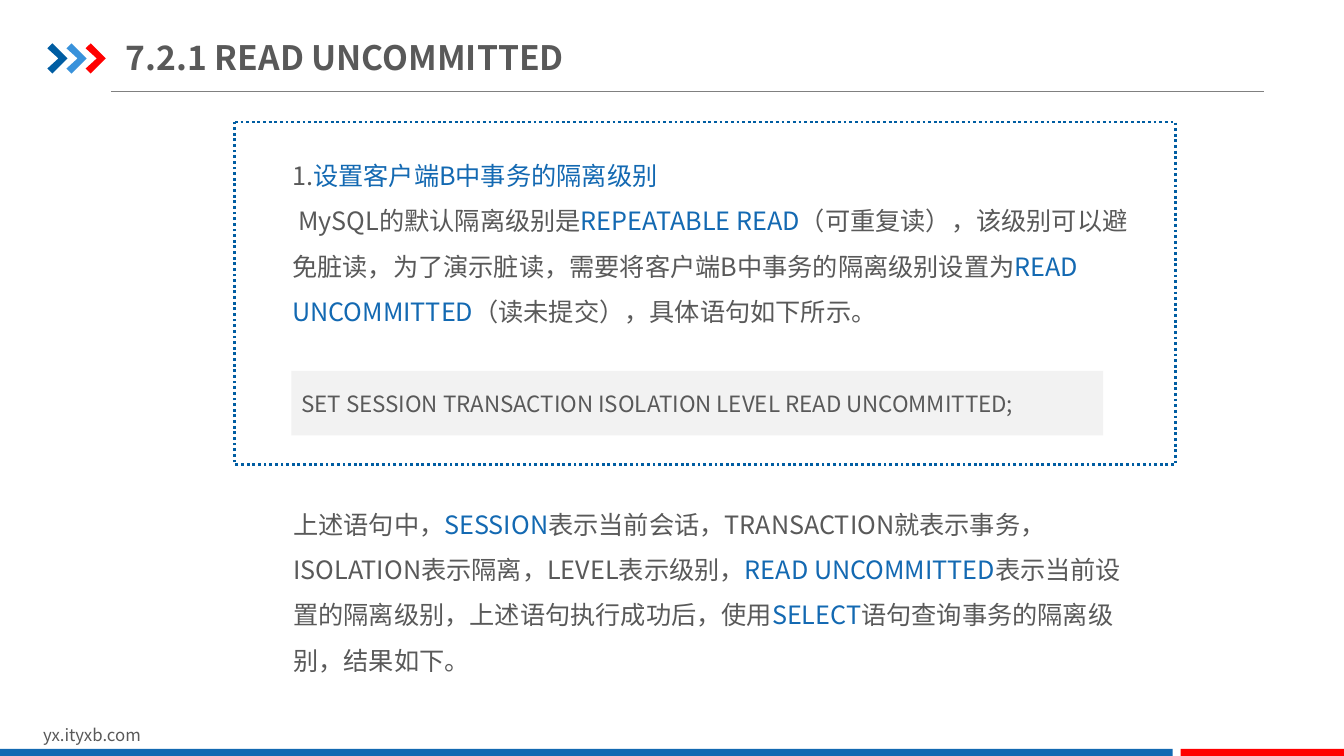
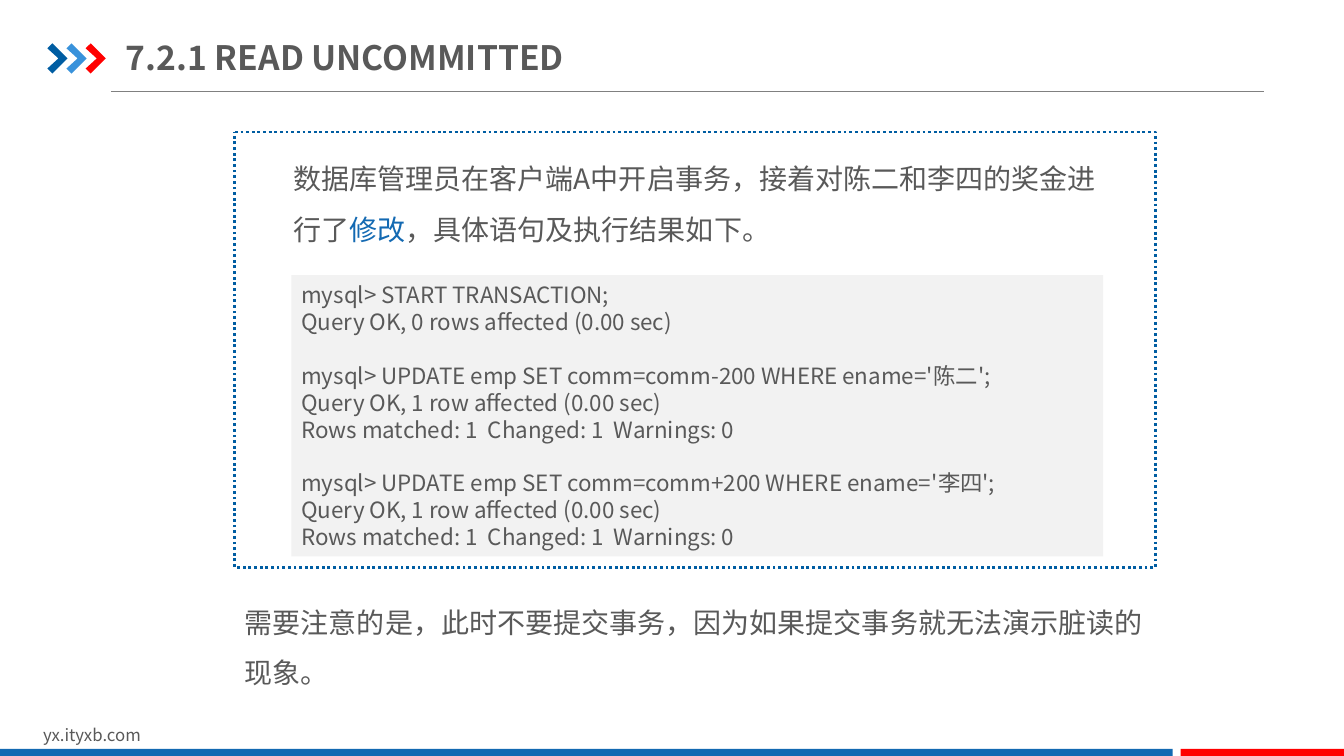
from dataclasses import dataclass

from lxml.etree import SubElement
from pptx import Presentation
from pptx.dml.color import RGBColor
from pptx.enum.dml import MSO_LINE
from pptx.enum.shapes import MSO_CONNECTOR, MSO_SHAPE
from pptx.enum.text import MSO_ANCHOR, PP_ALIGN
from pptx.oxml.ns import qn
from pptx.util import Inches, Pt


@dataclass(frozen=True)
class Theme:
    """Colours, font and type sizes shared by the slides."""
    font: str = "Noto Sans CJK SC"
    text: str = "595959"
    blue: str = "1369B2"
    navy: str = "005DA2"
    sky: str = "3992DB"
    red: str = "FF0000"
    rule: str = "808080"
    code_fill: str = "F2F2F2"
    white: str = "FFFFFF"
    title_size: int = 24
    large_size: int = 20
    body_size: int = 18
    code_size: int = 16
    footer_size: int = 12


THEME = Theme()
TITLE = "7.2.1 READ UNCOMMITTED"
CHEVRON = [(0, 0.05), (0.05, 0), (0.2, 0.15), (0.05, 0.3), (0, 0.25), (0.11, 0.15)]


def rgb(color):
    """Turn a hex string into a colour."""
    return RGBColor.from_string(color)


def inches(box):
    """Convert a box of numbers to lengths."""
    return [Inches(v) for v in box]


def style(p, size, bold=False):
    """Set the font of a whole paragraph, East Asian text included."""
    p.alignment = PP_ALIGN.LEFT
    font = p.font
    font.name = THEME.font
    font.size = Pt(size)
    font.bold = bold
    font.color.rgb = rgb(THEME.text)
    def_rpr = p._p.pPr.find(qn("a:defRPr"))
    SubElement(def_rpr, qn("a:ea")).set("typeface", THEME.font)


def write(tf, lines, size, bold=False, spacing=None):
    """Fill a frame with paragraphs; parts between bars are highlighted."""
    tf.word_wrap = True
    for i, line in enumerate(lines):
        p = tf.paragraphs[0] if i == 0 else tf.add_paragraph()
        for j, part in enumerate(line.split("|")):
            if part:
                r = p.add_run()
                r.text = part
                if j % 2:
                    r.font.color.rgb = rgb(THEME.blue)
        style(p, size, bold)
        if spacing:
            p.line_spacing = spacing


def add_text(slide, box, lines, size, bold=False, spacing=None):
    """Add a text box and return its frame."""
    tf = slide.shapes.add_textbox(*inches(box)).text_frame
    write(tf, lines, size, bold, spacing)
    return tf


def paint(sp, fill):
    """Give a shape a plain fill with no line or shadow."""
    sp.shadow.inherit = False
    sp.fill.solid()
    sp.fill.fore_color.rgb = rgb(fill)
    sp.line.fill.background()
    return sp


def add_rect(slide, box, fill, kind=MSO_SHAPE.RECTANGLE):
    """Add a plain filled shape."""
    return paint(slide.shapes.add_shape(kind, *inches(box)), fill)


def add_chevron(slide, left, top, fill):
    """Draw one arrow of the title mark."""
    points = [(Inches(left + x), Inches(top + y)) for x, y in CHEVRON]
    builder = slide.shapes.build_freeform(*points[0], scale=1.0)
    builder.add_line_segments(points[1:], close=True)
    paint(builder.convert_to_shape(), fill)


def add_header(slide, title):
    """Draw the title, its arrows and the rule below."""
    rule = slide.shapes.add_connector(
        MSO_CONNECTOR.STRAIGHT, *inches((1.1, 0.91, 12.54, 0.91)))
    rule.line.color.rgb = rgb(THEME.rule)
    rule.line.width = Pt(0.75)
    SubElement(rule._element.spPr, qn("a:effectLst"))
    for i, color in enumerate((THEME.navy, THEME.sky, THEME.red)):
        add_chevron(slide, 0.47 + i * 0.19, 0.43, color)
    tf = add_text(slide, (1.25, 0.29, 4.8, 0.55), [title], THEME.title_size, bold=True)
    tf.vertical_anchor = MSO_ANCHOR.MIDDLE
    tf.margin_left = tf.margin_right = 0


def add_footer(slide):
    """Draw the site address and the two-colour band."""
    add_text(slide, (0.33, 7.14, 3.18, 0.3), ["yx.ityxb.com"], THEME.footer_size)
    add_rect(slide, (0, 7.43, 11.63, 0.09), THEME.blue)
    add_rect(slide, (11.71, 7.43, 1.63, 0.09), THEME.red)


def add_panel(slide, box):
    """Draw the dotted frame."""
    sp = add_rect(slide, box, THEME.white, MSO_SHAPE.FLOWCHART_PROCESS)
    sp.line.color.rgb = rgb(THEME.navy)
    sp.line.width = Pt(2)
    sp.line.dash_style = MSO_LINE.ROUND_DOT


def add_code(slide, top, height, blocks):
    """Draw a code box with one line of space between blocks."""
    tf = add_rect(slide, (2.89, top, 8.05, height), THEME.code_fill).text_frame
    tf.vertical_anchor = MSO_ANCHOR.MIDDLE
    write(tf, [line for block in blocks for line in block], THEME.code_size)
    start = 0
    for block in blocks[:-1]:
        start += len(block)
        tf.paragraphs[start].space_before = Pt(19.2)


def new_slide(prs):
    """Add a blank slide with the shared header and footer."""
    slide = prs.slides.add_slide(prs.slide_layouts[6])
    add_header(slide, TITLE)
    add_footer(slide)
    return slide


def add_level_slide(prs):
    """Build the slide that sets the isolation level."""
    slide = new_slide(prs)
    add_panel(slide, (2.33, 1.21, 9.33, 3.4))
    tf = add_text(slide, (2.8, 1.39, 8.57, 1.92), [
        "1.|设置客户端B中事务的隔离级别|",
        "MySQL的默认隔离级别是|REPEATABLE READ|（可重复读），该级别可以避免脏读，"
        "为了演示脏读，需要将客户端B中事务的隔离级别设置为|READ UNCOMMITTED|"
        "（读未提交），具体语句如下所示。",
    ], THEME.body_size, spacing=1.5)
    tf.paragraphs[1]._p.pPr.set("indent", str(Inches(0.06)))
    add_code(slide, 3.68, 0.64,
             [["SET SESSION TRANSACTION ISOLATION LEVEL READ UNCOMMITTED;"]])
    add_text(slide, (2.81, 4.85, 8.42, 1.92), [
        "上述语句中，|SESSION|表示当前会话，TRANSACTION就表示事务，ISOLATION表示隔离，"
        "LEVEL表示级别，|READ UNCOMMITTED|表示当前设置的隔离级别，上述语句执行成功后，"
        "使用|SELECT|语句查询事务的隔离级别，结果如下。",
    ], THEME.body_size, spacing=1.5)


def add_update_slide(prs):
    """Build the slide that changes the bonuses."""
    slide = new_slide(prs)
    add_panel(slide, (2.33, 1.31, 9.13, 4.32))
    add_text(slide, (2.81, 1.39, 8.42, 1.11), [
        "数据库管理员在客户端A中开启事务，接着对陈二和李四的奖金进行了|修改|，"
        "具体语句及执行结果如下。",
    ], THEME.large_size, spacing=1.5)
    updates = [[
        f"mysql> UPDATE emp SET comm=comm{change} WHERE ename='{name}';",
        "Query OK, 1 row affected (0.00 sec)",
        "Rows matched: 1  Changed: 1  Warnings: 0",
    ] for change, name in (("-200", "陈二"), ("+200", "李四"))]
    add_code(slide, 2.73, 2.79, [
        ["mysql> START TRANSACTION;", "Query OK, 0 rows affected (0.00 sec)"], *updates])
    add_text(slide, (2.33, 5.79, 9.13, 1.11), [
        "需要注意的是，此时不要提交事务，因为如果提交事务就无法演示脏读的现象。",
    ], THEME.large_size, spacing=1.5)


def main():
    """Build and save the presentation."""
    prs = Presentation()
    prs.slide_width, prs.slide_height = Inches(13.33), Inches(7.5)
    add_level_slide(prs)
    add_update_slide(prs)
    prs.save("out.pptx")


if __name__ == "__main__":
    main()
